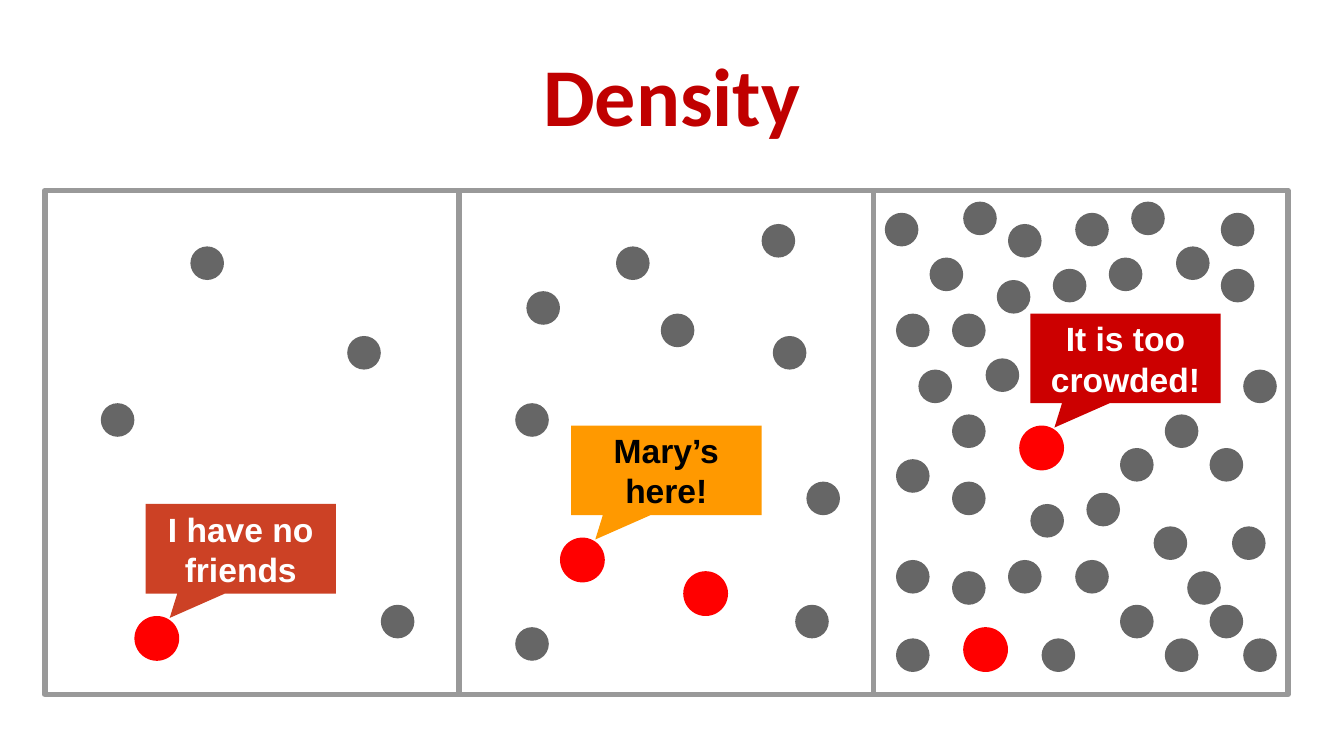
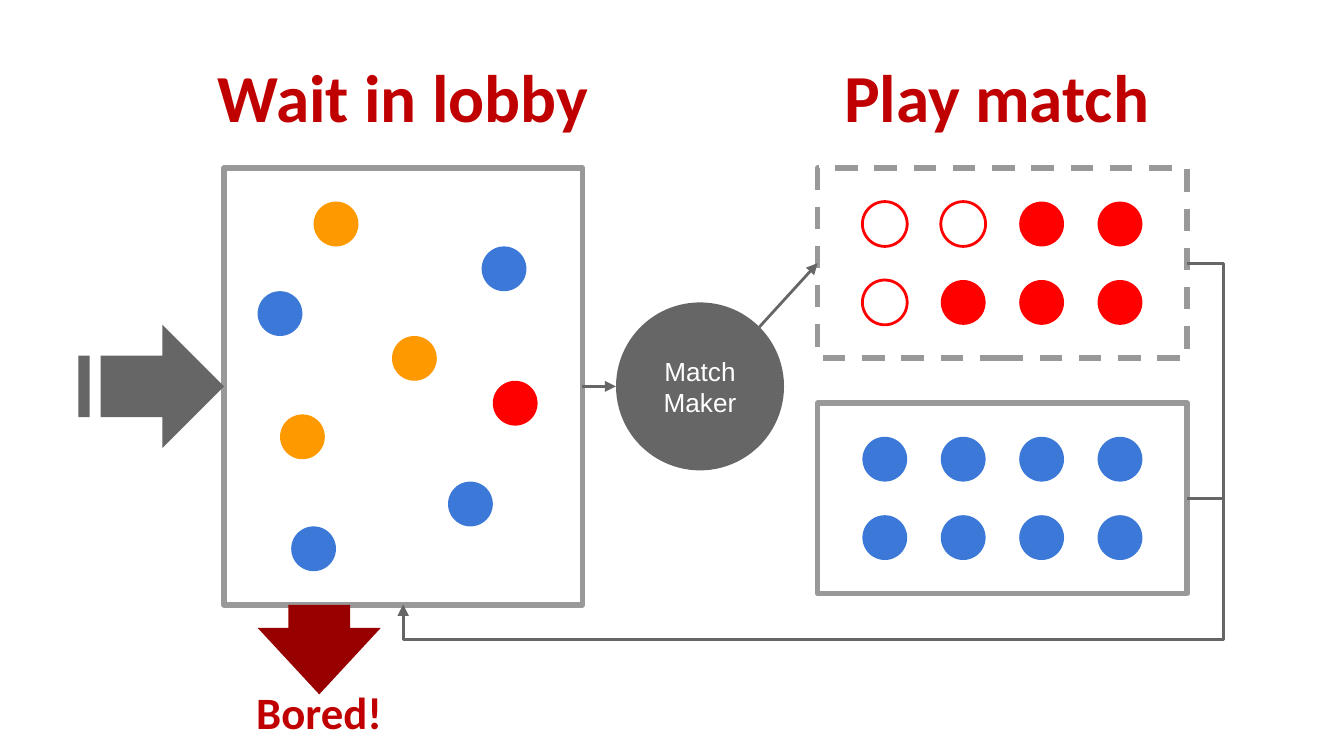
from functools import partial
from lxml import etree
from pptx import Presentation
from pptx import util as u
from pptx.dml.color import RGBColor
from pptx.enum import dml, shapes, text
from pptx.oxml import ns

COLORS = {
    "title": "C00000", "frame": "999999", "grey": "666666", "red": "FF0000",
    "orange": "FF9900", "blue": "3C78D8", "white": "FFFFFF", "black": "000000",
    "brick": "CC4125", "crimson": "CC0000", "maroon": "980000",
}

# The grid: 120 columns across the slide, with square cells
COLUMNS, ROWS = 120, 67.5
CELL = u.Inches(10) / COLUMNS
SMALL, LARGE = 3, 4  # dot diameters

PRESET = shapes.MSO_SHAPE


def cells(*lengths):
    return [u.Emu(round(length * CELL)) for length in lengths]


def color(name):
    return RGBColor.from_string(COLORS[name])


# ---- Shared parts ----
def write(shape, words, size, ink, font="Arial", bold=False, inset=0.1):
    frame = shape.text_frame
    frame.word_wrap = True
    frame.vertical_anchor = text.MSO_ANCHOR.MIDDLE
    frame.margin_left = frame.margin_right = u.Inches(0.1)
    frame.margin_top = frame.margin_bottom = u.Inches(inset)
    frame.text = words
    paragraph = frame.paragraphs[0]
    paragraph.alignment = text.PP_ALIGN.CENTER
    for run in paragraph.runs:
        run.font.name, run.font.size, run.font.bold = font, u.Pt(size), bold
        run.font.color.rgb = color(ink)


def add_title(slide, box, words, size, inset=0.05):
    shape = slide.shapes.add_textbox(*cells(*box))
    write(shape, words, size, "title", "Calibri", True, inset)


def add_preset(slide, preset, box, fill=None, line=None, width=3):
    shape = slide.shapes.add_shape(preset, *cells(*box))
    shape.shadow.inherit = False
    if fill:
        shape.fill.solid()
        shape.fill.fore_color.rgb = color(fill)
    else:
        shape.fill.background()
    if line:
        shape.line.color.rgb = color(line)
        shape.line.width = u.Pt(width)
    else:
        shape.line.fill.background()
    return shape


def add_frame(slide, box):
    return add_preset(slide, PRESET.RECTANGLE, box, line="frame")


def add_dots(slide, box, places, size, fill=None, line=None):
    left, top = box[:2]
    for column, row in places:
        add_preset(slide, PRESET.OVAL, (left + column, top + row, size, size),
                   fill, line, 1.5)


def add_arrow(slide, start, end, bends=None):
    kind = shapes.MSO_CONNECTOR
    connector = slide.shapes.add_connector(
        kind.ELBOW if bends else kind.STRAIGHT, *cells(*start, *end))
    connector.line.color.rgb = color("grey")
    connector.line.width = u.Pt(1.5)
    properties = connector._element.spPr
    if bends:
        geometry = properties.find(ns.qn("a:prstGeom"))
        geometry.set("prst", "bentConnector4")
        guides = geometry.find(ns.qn("a:avLst"))
        for number, share in enumerate(bends, 1):
            etree.SubElement(guides, ns.qn("a:gd"), name=f"adj{number}",
                             fmla=f"val {round(share * 100000)}")
    etree.SubElement(properties.find(ns.qn("a:ln")), ns.qn("a:tailEnd"), type="triangle")
    etree.SubElement(properties, ns.qn("a:effectLst"))


# ---- Density slide ----
# Places are (column, row) within each panel
PANELS = [
    dict(grey=[(13, 5), (5, 19), (30, 37), (27, 13)],
         red=[(8, 38)],
         callout=(9, 28, "I have no friends", "brick", "white")),
    dict(grey=[(14, 5), (5, 19), (30, 37), (28, 13), (6, 9), (27, 3), (18, 11),
               (5, 39), (31, 26)],
         red=[(9, 31), (20, 34)],
         callout=(10, 21, "Mary’s here!", "orange", "black")),
    dict(grey=[(8, 1), (23, 1), (1, 2), (18, 2), (31, 2), (12, 3), (27, 5),
               (5, 6), (21, 6), (16, 7), (31, 7), (11, 8), (2, 11), (7, 11),
               (10, 15), (4, 16), (33, 16), (7, 20), (26, 20), (22, 23),
               (30, 23), (2, 24), (7, 26), (19, 27), (14, 28), (25, 30),
               (32, 30), (2, 33), (12, 33), (18, 33), (7, 34), (28, 34),
               (22, 37), (30, 37), (2, 40), (15, 40), (26, 40), (33, 40)],
         red=[(13, 21), (8, 39)],
         callout=(14, 11, "It is too crowded!", "crimson", "white")),
]


def add_callout(slide, box, column, row, words, fill, ink):
    shape = add_preset(slide, PRESET.ROUNDED_RECTANGULAR_CALLOUT,
                       (box[0] + column, box[1] + row, 17, 8), fill)
    for index, value in enumerate((-0.373, 0.772, 0)):
        shape.adjustments[index] = value
    write(shape, words, 18, ink, bold=True)


def add_panel(slide, box, grey, red, callout):
    add_frame(slide, box)
    add_dots(slide, box, grey, SMALL, "grey")
    add_dots(slide, box, red, LARGE, "red")
    add_callout(slide, box, *callout)


def density_slide(slide):
    add_title(slide, (6, 2.75, 108, 11.25), "Density", 44, inset=0.1)
    width = 37
    for index, panel in enumerate(PANELS):
        add_panel(slide, (4 + index * width, 17, width, 45), **panel)


# ---- Lobby slide ----
LOBBY_DOTS = {
    "orange": [(8, 3), (15, 15), (5, 22)],
    "blue": [(3, 11), (20, 28), (6, 32), (23, 7)],
    "red": [(24, 19)],
}
SEATS = [(4 + 7 * column, 3 + 7 * row) for row in range(2) for column in range(4)]
EMPTY_SEATS = [SEATS[0], SEATS[1], SEATS[4]]


def add_lobby(slide, box):
    left, top, width, height = box
    add_frame(slide, box)
    for fill, places in LOBBY_DOTS.items():
        add_dots(slide, box, places, LARGE, fill)
    # Arrivals, with a striped arrow tail
    middle = top + height / 2
    add_preset(slide, PRESET.RIGHT_ARROW, (left - 13, middle - 5.5, 13, 11), "grey")
    add_preset(slide, PRESET.RECTANGLE, (left - 12, middle - 3.5, 1, 7), "white")
    # Departures
    leaving = add_preset(slide, PRESET.RIGHT_ARROW,
                         (left + 4.5, top + height - 1.5, 8, 11), "maroon")
    leaving.rotation = 90
    leaving.adjustments[1] = 0.742


def add_match(slide, box, fill, empty=()):
    frame = add_frame(slide, box)
    if empty:
        frame.line.dash_style = dml.MSO_LINE.DASH
    add_dots(slide, box, empty, LARGE, line="red")
    add_dots(slide, box, [seat for seat in SEATS if seat not in empty], LARGE, fill)


def add_match_maker(slide, box):
    shape = add_preset(slide, PRESET.OVAL, box, "grey")
    write(shape, "Match Maker", 14, "white")


def add_return(slide, match, lobby):
    """Route from a match, round the right and below, back into the lobby."""
    lane_column, lane_row = 109.2, 57.1
    start = (match[0] + match[2], match[1] + match[3] / 2)
    end = (lobby[0] + lobby[2] / 2, lobby[1] + lobby[3])
    add_arrow(slide, start, end, (
        (start[0] - lane_column) / (start[0] - end[0]),
        (lane_row - start[1]) / (end[1] - start[1])))


def lobby_slide(slide):
    lobby = (20, 15, 32, 39)
    filling, playing = [(73, row, 33, 17) for row in (15, 36)]
    maker = (55, 27, 15, 15)
    middle = maker[1] + maker[3] / 2

    add_match(slide, filling, "red", EMPTY_SEATS)
    add_match(slide, playing, "blue")
    add_lobby(slide, lobby)
    for match in (filling, playing):
        add_return(slide, match, lobby)
    add_match_maker(slide, maker)
    add_arrow(slide, (67.8, 29.2), (filling[0], filling[1] + filling[3] / 2))
    add_arrow(slide, (lobby[0] + lobby[2], middle), (maker[0], middle))

    heading = partial(add_title, slide)
    heading((14, 4, 44, 9), "Wait in lobby", 36)
    heading((71, 4, 36, 9), "Play match", 36)
    heading((8, 60, 41, 7), "Bored!", 24)


def main():
    presentation = Presentation()
    presentation.slide_width, presentation.slide_height = cells(COLUMNS, ROWS)
    for build in (density_slide, lobby_slide):
        build(presentation.slides.add_slide(presentation.slide_layouts[6]))
    presentation.save("out.pptx")


if __name__ == "__main__":
    main()
